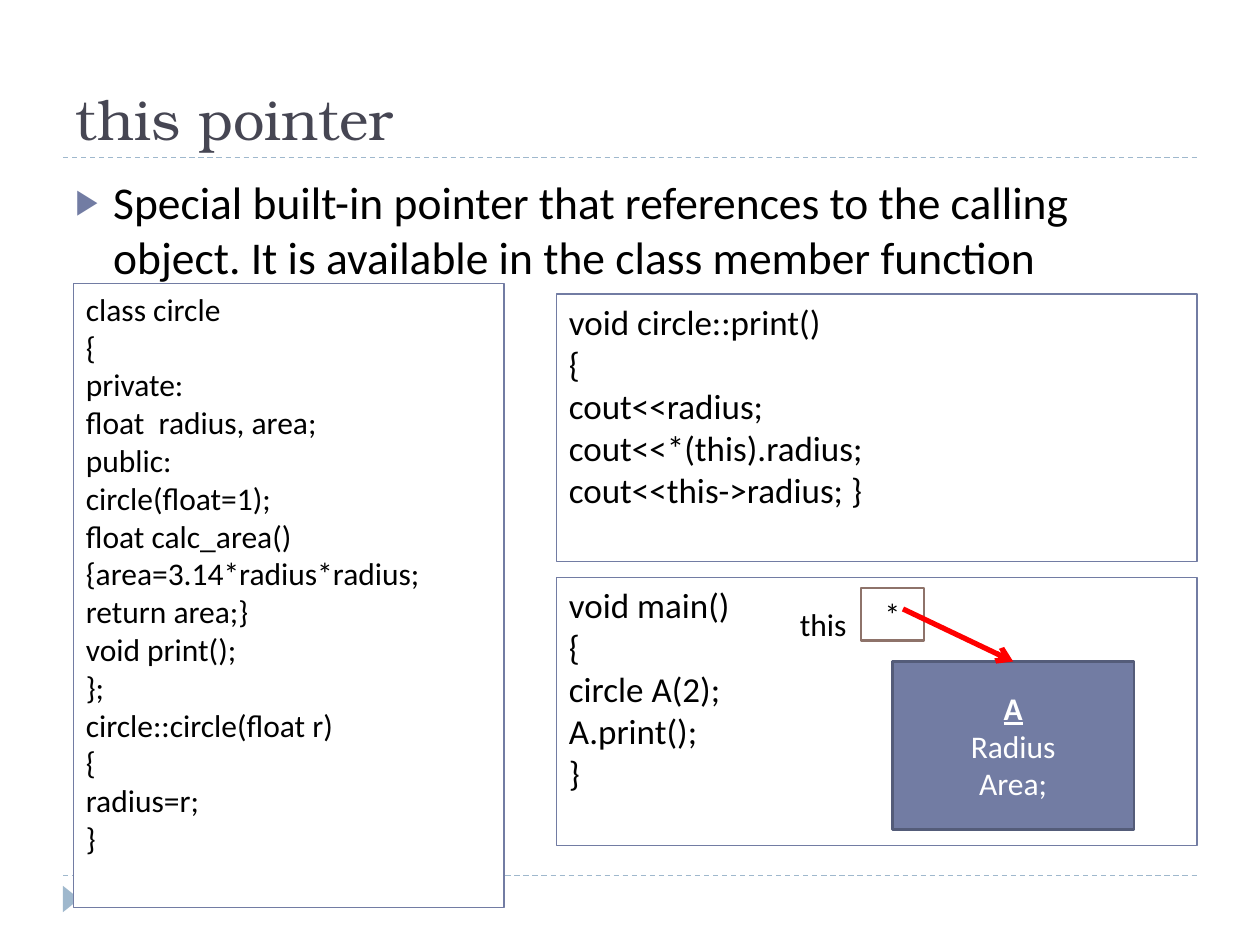
from lxml import etree
from pptx import Presentation
from pptx.dml.color import RGBColor
from pptx.enum.dml import MSO_LINE
from pptx.enum.shapes import MSO_CONNECTOR, MSO_SHAPE
from pptx.enum.text import MSO_ANCHOR, PP_ALIGN
from pptx.oxml.ns import qn
from pptx.util import Pt

RECTANGLE = MSO_SHAPE.RECTANGLE
TRIANGLE = MSO_SHAPE.ISOSCELES_TRIANGLE
STRAIGHT = MSO_CONNECTOR.STRAIGHT
DASH = MSO_LINE.DASH
TOP, MIDDLE, BOTTOM = MSO_ANCHOR.TOP, MSO_ANCHOR.MIDDLE, MSO_ANCHOR.BOTTOM
LEFT, CENTER = PP_ALIGN.LEFT, PP_ALIGN.CENTER

BODY_FONT = "Calibri"
TITLE_FONT = "TeX Gyre Bonum"
COLORS = {
    "white": "FFFFFF",
    "black": "000000",
    "title": "464653",
    "rule": "9FB8CD",
    "accent": "727CA3",
    "object_edge": "545C79",
    "pointer_edge": "8E736A",
    "arrow": "FF0000",
}

CLASS_CODE = """class circle
{
private:
float  radius, area;
public:
circle(float=1);
float calc_area()
{area=3.14*radius*radius;
return area;}
void print();
};
circle::circle(float r)
{
radius=r;
}"""

PRINT_CODE = """void circle::print()
{
cout<<radius;
cout<<*(this).radius;
cout<<this->radius; }"""

MAIN_CODE = """void main()
{
circle A(2);
A.print();
}"""


def rgb(name):
    return RGBColor.from_string(COLORS[name])


def write(shape, text, size, color="black", font=BODY_FONT, align=LEFT, anchor=TOP):
    frame = shape.text_frame
    frame.text = text
    frame.word_wrap = True
    frame.vertical_anchor = anchor
    for para in frame.paragraphs:
        para.alignment = align
        for span in para.runs:
            span.font.name = font
            span.font.size = Pt(size)
            span.font.color.rgb = rgb(color)


def add_text(page, box, text, size, **style):
    shape = page.shapes.add_textbox(*map(Pt, box))
    write(shape, text, size, **style)
    return shape


def add_panel(page, box, fill=None, edge=None, width=0.75, kind=RECTANGLE):
    shape = page.shapes.add_shape(kind, *map(Pt, box))
    shape.shadow.inherit = False
    if fill:
        shape.fill.solid()
        shape.fill.fore_color.rgb = rgb(fill)
    else:
        shape.fill.background()
    if edge:
        shape.line.color.rgb = rgb(edge)
        shape.line.width = Pt(width)
    else:
        shape.line.fill.background()
    return shape


def add_line(page, start, end, color, width):
    line = page.shapes.add_connector(STRAIGHT, *map(Pt, (*start, *end)))
    line.line.color.rgb = rgb(color)
    line.line.width = Pt(width)
    etree.SubElement(line._element.spPr, qn("a:effectLst"))
    return line


def add_bullet(para, indent):
    properties = para._p.get_or_add_pPr()
    properties.set("marL", str(Pt(indent)))
    properties.set("indent", str(-Pt(indent)))
    color = etree.SubElement(properties, qn("a:buClr"))
    etree.SubElement(color, qn("a:srgbClr"), val=COLORS["accent"])
    etree.SubElement(properties, qn("a:buSzPct"), val="76000")
    etree.SubElement(properties, qn("a:buFont"), typeface=BODY_FONT)
    etree.SubElement(properties, qn("a:buChar"), char="▶")


def add_frame(page, box):
    """Dashed rules under the title and above the footer, with the corner marker."""
    left, top, width, height = box
    for y in (top + height, top):
        rule = add_line(page, (left, y), (left + width, y), "rule", 0.75)
        rule.line.dash_style = DASH
    marker_box = (left - 2.9, top + height + 8.6, 15.1, 9.4)
    marker = add_panel(page, marker_box, fill="rule", kind=TRIANGLE)
    marker.rotation = 90


def add_heading(page, box):
    """Title and the bulleted statement below it."""
    left, top, width, height = box
    add_text(page, (left, top, width, height), "this pointer", 32,
             color="title", font=TITLE_FONT, anchor=BOTTOM)
    body = add_text(
        page, (left, top + height + 6, width, 389),
        "Special built-in pointer that references to the calling object. "
        "It is available in the class member function", 26)
    para = body.text_frame.paragraphs[0]
    para.space_before = Pt(6)
    add_bullet(para, 21.6)


def add_code(page, box, code, size, fill=None):
    write(add_panel(page, box, fill=fill, edge="accent"), code, size)


def add_pointer_diagram(page, box):
    """The this pointer, with an arrow to the object A."""
    left, top, width, height = box
    target = add_panel(page, (left + width - 138, top + height - 96, 138, 96),
                       fill="accent", edge="object_edge", width=1.5)
    write(target, "A\nRadius\nArea;", 18, color="white", align=CENTER, anchor=MIDDLE)
    name = target.text_frame.paragraphs[0].runs[0].font
    name.bold = name.underline = True

    add_text(page, (left, top + 6, 54, 29), "this", 18)
    pointer = add_panel(page, (left + 42, top, 36, 30),
                        fill="white", edge="pointer_edge", width=1.5)
    write(pointer, "*", 18, align=CENTER, anchor=MIDDLE)

    arrow = add_line(page, (left + 66, top + 12),
                     (left + width - 69, top + height - 96), "arrow", 3)
    etree.SubElement(arrow.line._get_or_add_ln(), qn("a:tailEnd"), type="arrow")


def main():
    deck = Presentation()
    deck.slide_width, deck.slide_height = Pt(720), Pt(540)
    page = deck.slides.add_slide(deck.slide_layouts[6])
    add_frame(page, (36, 90, 648, 410.4))
    add_heading(page, (36, 12, 648, 78))
    add_code(page, (42, 162, 246, 356.4), CLASS_CODE, 18, fill="white")
    for row, code in enumerate((PRINT_CODE, MAIN_CODE)):
        add_code(page, (318, 168 + 162 * row, 366, 153), code, 20)
    add_pointer_diagram(page, (450, 336, 198, 138))
    deck.save("out.pptx")


if __name__ == "__main__":
    main()
